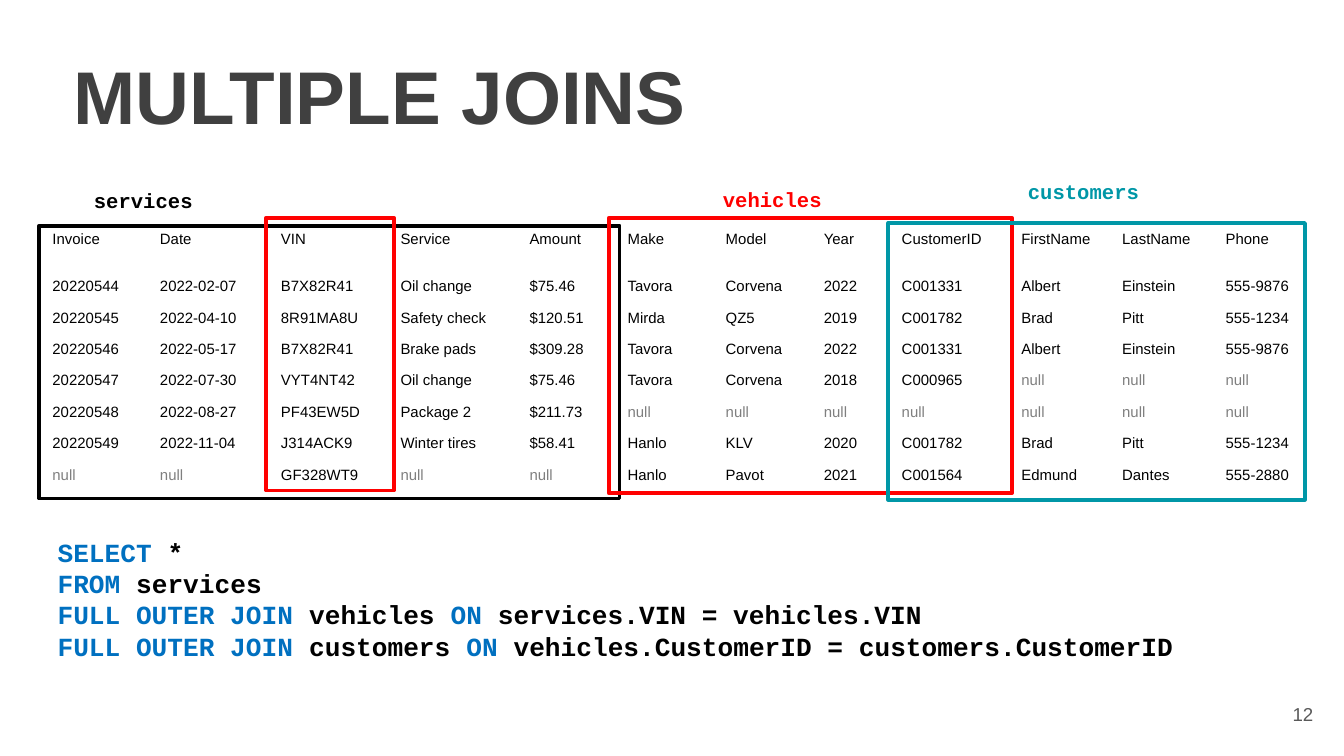
"""Build a slide that shows a full outer join of three tables."""
from pptx import Presentation
from pptx.dml.color import RGBColor
from pptx.enum import shapes, text
from pptx.util import Inches, Pt

BLACK = RGBColor(0x00, 0x00, 0x00)
GRAY = RGBColor(0x7F, 0x7F, 0x7F)
DARK_GRAY = RGBColor(0x40, 0x40, 0x40)
NUMBER_GRAY = RGBColor(0x59, 0x59, 0x59)
RED = RGBColor(0xFF, 0x00, 0x00)
TEAL = RGBColor(0x00, 0x97, 0xA7)
BLUE = RGBColor(0x00, 0x70, 0xC0)

TITLE = "MULTIPLE JOINS"
PAGE_NUMBER = "12"
HEADER = ("Invoice", "Date", "VIN", "Service", "Amount", "Make", "Model", "Year",
          "CustomerID", "FirstName", "LastName", "Phone")
ALBERT = ("Albert", "Einstein", "555-9876")
BRAD = ("Brad", "Pitt", "555-1234")
EDMUND = ("Edmund", "Dantes", "555-2880")
NOBODY = ("null",) * 3
RECORDS = [
    ("20220544", "2022-02-07", "B7X82R41", "Oil change", "$75.46",
     "Tavora", "Corvena", "2022", "C001331", *ALBERT),
    ("20220545", "2022-04-10", "8R91MA8U", "Safety check", "$120.51",
     "Mirda", "QZ5", "2019", "C001782", *BRAD),
    ("20220546", "2022-05-17", "B7X82R41", "Brake pads", "$309.28",
     "Tavora", "Corvena", "2022", "C001331", *ALBERT),
    ("20220547", "2022-07-30", "VYT4NT42", "Oil change", "$75.46",
     "Tavora", "Corvena", "2018", "C000965", *NOBODY),
    ("20220548", "2022-08-27", "PF43EW5D", "Package 2", "$211.73",
     "null", "null", "null", "null", *NOBODY),
    ("20220549", "2022-11-04", "J314ACK9", "Winter tires", "$58.41",
     "Hanlo", "KLV", "2020", "C001782", *BRAD),
    ("null", "null", "GF328WT9", "null", "null",
     "Hanlo", "Pavot", "2021", "C001564", *EDMUND),
]
QUERY = [
    [("SELECT", BLUE), (" *", BLACK)],
    [("FROM", BLUE), (" services", BLACK)],
    [("FULL OUTER JOIN", BLUE), (" vehicles ", BLACK), ("ON", BLUE),
     (" services.VIN = vehicles.VIN", BLACK)],
    [("FULL OUTER JOIN", BLUE), (" customers ", BLACK), ("ON", BLUE),
     (" vehicles.CustomerID = customers.CustomerID", BLACK)],
]
COLUMN_WIDTHS = (0.8, 0.9, 0.89, 0.96, 0.73, 0.73, 0.73, 0.58, 0.89, 0.75, 0.77, 0.69)
TABLE_LEFT, TABLE_TOP = 0.29, 1.66
HEADER_HEIGHT, ROW_HEIGHT = 0.35, 0.23
FRAMES = [
    (0.29, 1.68, 4.32, 2.03, BLACK),
    (4.53, 1.62, 3, 2.05, RED),
    (1.98, 1.62, 0.95, 2.03, RED),
    (6.61, 1.66, 3.1, 2.06, TEAL),
]
LABELS = [
    ("customers", 7.55, 1.28, 1.04, TEAL),
    ("services", 0.6, 1.35, 0.95, BLACK),
    ("vehicles", 5.28, 1.34, 0.95, RED),
]

HEADING = {"name": "Arial", "size": Pt(40), "bold": True}
NUMBER = {"name": "Arial", "size": Pt(10)}
CELL = {"name": "Arial", "size": Pt(8)}
LABEL = {"name": "Courier New", "size": Pt(11), "bold": True}
CODE = {"name": "Courier New", "size": Pt(14), "bold": True}
LINE_HEIGHT = 1.2


def write(frame, lines, style):
    for index, line in enumerate(lines):
        para = frame.add_paragraph() if index else frame.paragraphs[0]
        para.line_spacing = Pt(LINE_HEIGHT * style["size"].pt)
        for words, color in line:
            span = para.add_run()
            span.text = words
            for key, value in style.items():
                setattr(span.font, key, value)
            span.font.color.rgb = color


def add_text(page, place, lines, style, inset=0.05):
    box = page.shapes.add_textbox(*map(Inches, place))
    frame = box.text_frame
    frame.word_wrap = True
    frame.margin_top = frame.margin_bottom = Inches(inset)
    write(frame, lines, style)
    return frame


def add_join_table(page):
    rows = [HEADER, *RECORDS]
    heights = [HEADER_HEIGHT] + [ROW_HEIGHT] * len(RECORDS)
    place = (TABLE_LEFT, TABLE_TOP, sum(COLUMN_WIDTHS), sum(heights))
    table = page.shapes.add_table(len(rows), len(HEADER), *map(Inches, place)).table
    table.first_row = table.horz_banding = False
    for column, width in zip(table.columns, COLUMN_WIDTHS):
        column.width = Inches(width)
    for row, height, values in zip(table.rows, heights, rows):
        row.height = Inches(height)
        for cell, value in zip(row.cells, values):
            cell.fill.background()
            write(cell.text_frame, [[(value, GRAY if value == "null" else BLACK)]], CELL)


def add_frame(page, *place, color):
    box = page.shapes.add_shape(shapes.MSO_SHAPE.RECTANGLE, *map(Inches, place))
    box.shadow.inherit = False
    box.fill.background()
    box.line.color.rgb = color
    box.line.width = Pt(2)


def main():
    deck = Presentation()
    deck.slide_width = Inches(10)
    deck.slide_height = deck.slide_width * 9 // 16
    page = deck.slides.add_slide(deck.slide_layouts[6])
    add_text(page, (0.45, 0.27, 9.41, 1.01), [[(TITLE, DARK_GRAY)]], HEADING, 0.1)
    number = add_text(page, (9.27, 5.1, 0.6, 0.43), [[(PAGE_NUMBER, NUMBER_GRAY)]], NUMBER, 0.1)
    number.vertical_anchor = text.MSO_ANCHOR.MIDDLE
    number.paragraphs[0].alignment = text.PP_ALIGN.RIGHT
    add_join_table(page)
    for *place, color in FRAMES:
        add_frame(page, *place, color=color)
    for name, left, top, width, color in LABELS:
        add_text(page, (left, top, width, 0.29), [[(name, color)]], LABEL)
    add_text(page, (0.33, 3.94, 8.78, 1.04), QUERY, CODE)
    deck.save("out.pptx")


if __name__ == "__main__":
    main()
